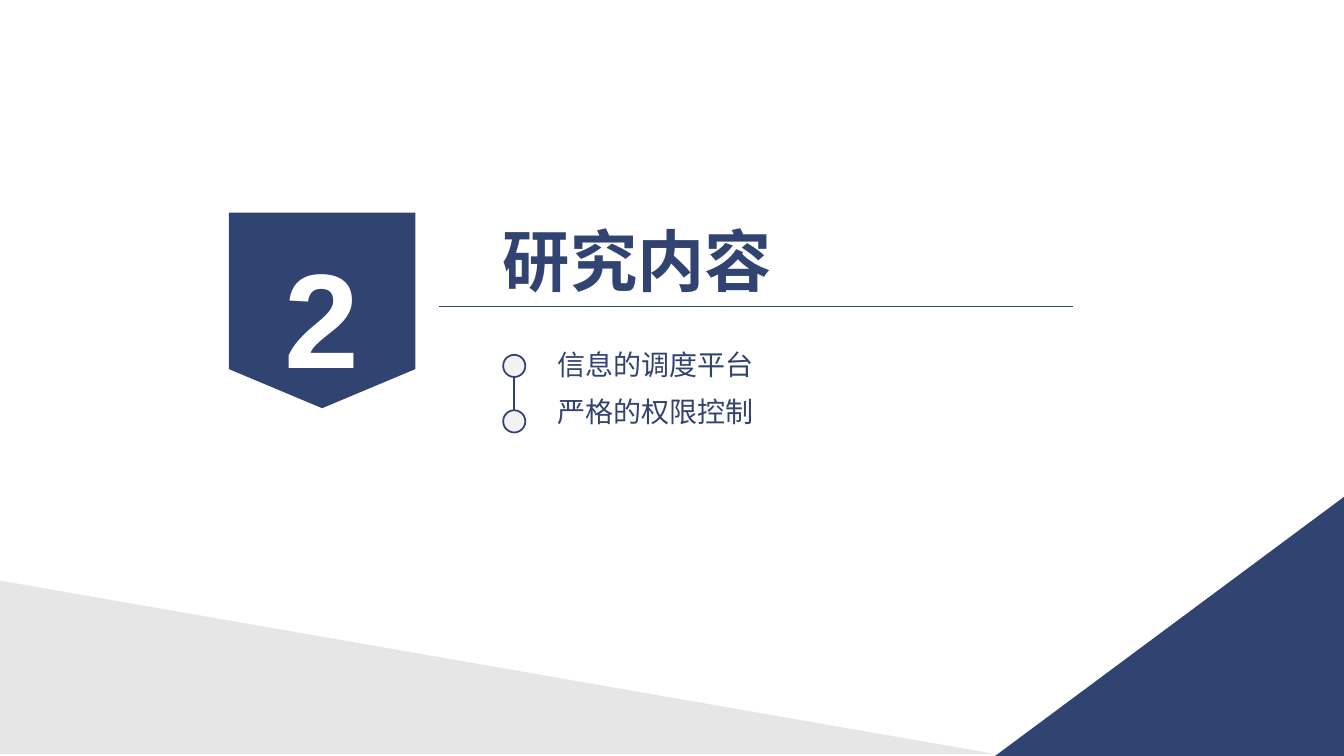
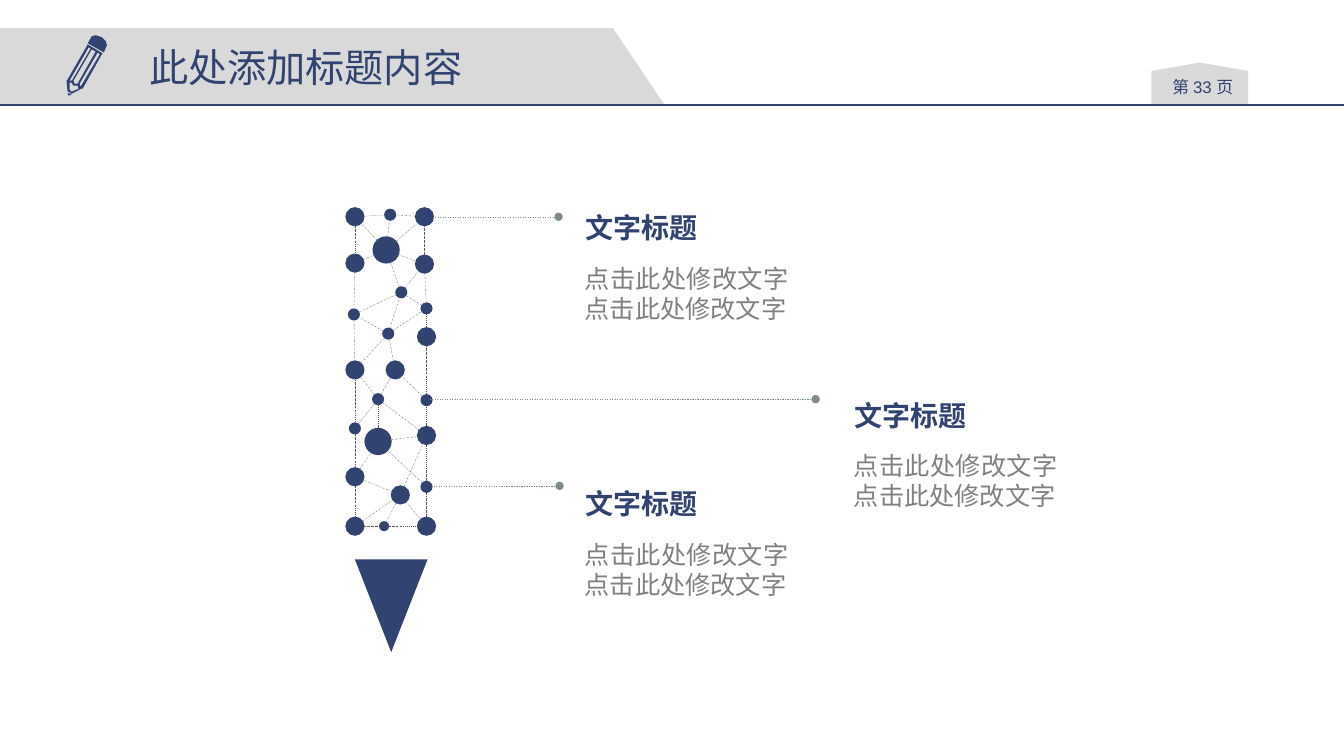
"""Build a section divider slide and a pencil diagram slide."""
import math

import pptx
import pptx.dml.color
import pptx.enum.dml
import pptx.enum.shapes
import pptx.enum.text
import pptx.oxml
import pptx.oxml.ns
import pptx.util

Inches = pptx.util.Inches
MSO_SHAPE = pptx.enum.shapes.MSO_SHAPE
STRAIGHT = pptx.enum.shapes.MSO_CONNECTOR.STRAIGHT
DASH = pptx.enum.dml.MSO_LINE
ALIGN = pptx.enum.text.PP_ALIGN

THEME = {
    "navy": "314371", "white": "FFFFFF", "band": "D9D9D9", "wedge": "E7E6E6",
    "dot": "F2F2F2", "mesh": "595959", "leader": "7F8C8D", "body": "808080",
    "latin": "Arial", "cjk": "Noto Sans CJK SC",
    "number": 96, "section": 48, "title": 28, "heading": 20, "text": 18, "page": 12,
}


def paint(sp, fill=None, line=None, width=1, dash=None):
    """Set the fill and outline of a shape or connector and drop its shadow."""
    if fill:
        sp.fill.solid()
        sp.fill.fore_color.rgb = pptx.dml.color.RGBColor.from_string(THEME[fill])
    if line:
        sp.line.color.rgb = pptx.dml.color.RGBColor.from_string(THEME[line])
        sp.line.width = pptx.util.Pt(width)
        if dash:
            sp.line.dash_style = dash
    else:
        sp.line.fill.background()
    if hasattr(sp, "shadow"):
        sp.shadow.inherit = False
    else:
        sp._element.spPr.append(pptx.oxml.parse_xml(
            '<a:effectLst xmlns:a="http://schemas.openxmlformats.org/drawingml/2006/main"/>'))
    return sp


def write(sp, text, size, color="navy", font="cjk", bold=False, align=ALIGN.LEFT, wrap=True):
    """Put one formatted paragraph into a shape."""
    tf = sp.text_frame
    tf.word_wrap = wrap
    p = tf.paragraphs[0]
    p.text = text
    p.alignment = align
    for r in p.runs:
        r.font.size = pptx.util.Pt(THEME[size])
        r.font.bold = bold
        r.font.name = THEME[font]
        r.font.color.rgb = pptx.dml.color.RGBColor.from_string(THEME[color])
        if font == "cjk":
            ea = r._r.get_or_add_rPr().makeelement(pptx.oxml.ns.qn("a:ea"), {"typeface": THEME[font]})
            r.font._element.find(pptx.oxml.ns.qn("a:latin")).addnext(ea)
    return tf


prs = pptx.Presentation()
prs.slide_width, prs.slide_height = Inches(13.33), Inches(7.5)
section, content = [prs.slides.add_slide(prs.slide_layouts[6]) for _ in range(2)]
icon = content.shapes.add_group_shape()

outlines = [
    (section, "wedge", [[(0, 5.76), (9.87, 7.48), (0, 7.48)]]),
    (section, "navy", [[(13.33, 4.93), (13.33, 7.5), (9.87, 7.5)]]),
    (content, "band", [[(0, 0.28), (6.08, 0.28), (6.59, 1.04), (0, 1.04)]]),
    (icon, "navy", [[(0.91, 0.36), (0.95, 0.35), (1.01, 0.37), (1.05, 0.41),
                     (1.06, 0.45), (1.03, 0.52), (0.87, 0.43)]]),
    (icon, "navy", [
        [(0.66, 0.8), (0.67, 0.9), (0.68, 0.91), (0.71, 0.93), (0.81, 0.88), (0.82, 0.88),
         (1.01, 0.54), (1.02, 0.53), (0.87, 0.44), (0.86, 0.46), (0.67, 0.79)],
        [(0.69, 0.8), (0.88, 0.47), (0.9, 0.48), (0.72, 0.79), (0.71, 0.8)],
        [(0.71, 0.91), (0.69, 0.89), (0.69, 0.82), (0.71, 0.82), (0.73, 0.85),
         (0.77, 0.85), (0.78, 0.88)],
        [(0.73, 0.8), (0.91, 0.49), (0.95, 0.51), (0.77, 0.83), (0.74, 0.83)],
        [(0.8, 0.86), (0.79, 0.83), (0.97, 0.52), (0.99, 0.54)]]),
    (icon, "navy", [[(0.71, 0.94), (0.67, 0.92), (0.68, 0.95)]]),
]
for owner, color, contours in outlines:
    points = [[(Inches(x), Inches(y)) for x, y in contour] for contour in contours]
    builder = owner.shapes.build_freeform(*points[0][0])
    builder.add_line_segments(points[0][1:])
    for contour in points[1:]:
        builder.move_to(*contour[0])
        builder.add_line_segments(contour[1:])
    paint(builder.convert_to_shape(), color)
content.shapes._spTree.append(icon._element)

s = section.shapes
sp = paint(s.add_shape(MSO_SHAPE.FLOWCHART_OFFPAGE_CONNECTOR, Inches(2.27), Inches(2.11),
                       Inches(1.85), Inches(1.94)), "navy")
tf = write(sp, "2", "number", "white", "latin", True, ALIGN.CENTER)
tf.vertical_anchor = pptx.enum.text.MSO_ANCHOR.MIDDLE
tf.paragraphs[0].line_spacing = 1.3
paint(s.add_connector(STRAIGHT, Inches(4.35), Inches(3.04), Inches(10.64), Inches(3.04)), line="navy")
sp = s.add_textbox(Inches(4.89), Inches(2.13), Inches(2.87), Inches(0.91))
write(sp, "研究内容", "section", bold=True, wrap=False)

timeline = s.add_group_shape().shapes
paint(timeline.add_connector(STRAIGHT, Inches(5.1), Inches(3.69), Inches(5.1), Inches(4.29)),
      line="navy", width=1.25)
for i, topic in enumerate(["信息的调度平台", "严格的权限控制"]):
    paint(timeline.add_shape(MSO_SHAPE.OVAL, Inches(4.99), Inches(3.52 + 0.55 * i),
                             Inches(0.22), Inches(0.22)), "dot", "navy", 1.25)
    sp = s.add_textbox(Inches(5.4), Inches(3.38 + 0.46 * i), Inches(3.5), Inches(0.47))
    tf = write(sp, topic, "heading")
    tf.margin_left = tf.margin_right = Inches(0.13)
    tf.margin_top = tf.margin_bottom = Inches(0.07)

s = content.shapes
sp = paint(s.add_shape(MSO_SHAPE.FLOWCHART_OFFPAGE_CONNECTOR, Inches(11.42), Inches(0.62),
                       Inches(0.96), Inches(0.42)), "band")
sp.rotation = 180
sp = s.add_textbox(Inches(11.48), Inches(0.72), Inches(0.9), Inches(0.3))
tf = write(sp, "第 33 页", "page", align=ALIGN.CENTER)
tf.margin_left = tf.margin_right = Inches(0.07)
tf.margin_top = tf.margin_bottom = Inches(0.04)
p = tf.paragraphs[0]
p.runs[0].text = "第 "
for text, font in [("33 ", "latin"), ("页", "cjk")]:
    r = p.add_run()
    r.text = text
    r.font.size = pptx.util.Pt(THEME["page"])
    r.font.name = THEME[font]
    r.font.color.rgb = pptx.dml.color.RGBColor.from_string(THEME["navy"])
paint(s.add_connector(STRAIGHT, 0, Inches(1.04), prs.slide_width, Inches(1.04)), line="navy")
sp = s.add_textbox(Inches(1.38), Inches(0.38), Inches(3.34), Inches(0.57))
write(sp, "此处添加标题内容", "title", wrap=False)

pencil = s.add_group_shape().shapes
paint(pencil.add_shape(MSO_SHAPE.FLOWCHART_MERGE, Inches(3.52), Inches(5.55),
                       Inches(0.72), Inches(0.92)), "navy")
SMALL, MEDIUM, LARGE = 0.12, 0.19, 0.27
nodes = [
    (3.52, 2.15, MEDIUM), (3.87, 2.13, SMALL), (4.21, 2.15, MEDIUM), (3.83, 2.48, LARGE),
    (3.52, 2.61, MEDIUM), (4.21, 2.62, MEDIUM), (3.98, 2.9, SMALL), (4.23, 3.06, SMALL),
    (3.51, 3.12, SMALL), (3.85, 3.31, SMALL), (4.23, 3.34, MEDIUM), (3.52, 3.67, MEDIUM),
    (3.92, 3.67, MEDIUM), (3.75, 3.96, SMALL), (4.23, 3.97, SMALL), (3.52, 4.25, SMALL),
    (3.75, 4.38, LARGE), (4.23, 4.32, MEDIUM), (3.52, 4.73, MEDIUM), (3.97, 4.91, MEDIUM),
    (4.23, 4.83, SMALL), (3.52, 5.22, MEDIUM), (3.81, 5.22, 0.1), (4.23, 5.22, MEDIUM),
]
links = [
    (21, 22), (22, 23), (23, 20), (20, 17), (17, 14), (14, 10), (10, 7), (7, 5), (5, 2),
    (2, 1), (1, 0), (0, 4), (4, 8), (8, 11), (11, 15), (15, 18), (18, 21), (21, 19),
    (19, 23), (19, 22), (19, 18), (18, 16), (16, 17), (20, 16), (19, 17), (17, 13),
    (15, 13), (13, 12), (14, 12), (16, 13), (13, 11), (11, 9), (9, 8), (8, 6), (9, 6),
    (12, 9), (9, 7), (7, 6), (6, 5), (6, 3), (4, 3), (3, 0), (3, 1), (3, 2), (3, 5),
]
for x, y, d in nodes:
    paint(pencil.add_shape(MSO_SHAPE.OVAL, Inches(x - d / 2), Inches(y - d / 2),
                           Inches(d), Inches(d)), "navy")
for a, b in links:
    (x1, y1, d1), (x2, y2, d2) = nodes[a], nodes[b]
    length = math.hypot(x2 - x1, y2 - y1)
    ux, uy = (x2 - x1) / length, (y2 - y1) / length
    paint(pencil.add_connector(
        STRAIGHT, Inches(x1 + ux * d1 / 2), Inches(y1 + uy * d1 / 2),
        Inches(x2 - ux * d2 / 2), Inches(y2 - uy * d2 / 2)),
        line="mesh", width=0.25, dash=DASH.DASH_DOT)

callouts = [(4.29, 5.54, 2.15, 5.7, 2.04), (4.3, 5.55, 4.82, 5.7, 4.78), (4.26, 8.09, 3.96, 8.37, 3.9)]
for start, end, y, left, top in callouts:
    sp = paint(s.add_connector(STRAIGHT, Inches(start), Inches(y), Inches(end), Inches(y)),
               line="leader", width=0.25, dash=DASH.DASH)
    ln = sp.line._get_or_add_ln()
    ln.append(ln.makeelement(pptx.oxml.ns.qn("a:tailEnd"), {"type": "oval"}))
    sp = s.add_textbox(Inches(left + 0.01), Inches(top), Inches(1.32), Inches(0.44))
    write(sp, "文字标题", "heading", font="latin", bold=True, wrap=False)
    sp = s.add_textbox(Inches(left), Inches(top + 0.52), Inches(2.22), Inches(0.71))
    write(sp, "点击此处修改文字点击此处修改文字", "text", "body", "latin", align=ALIGN.JUSTIFY)

prs.save("out.pptx")
